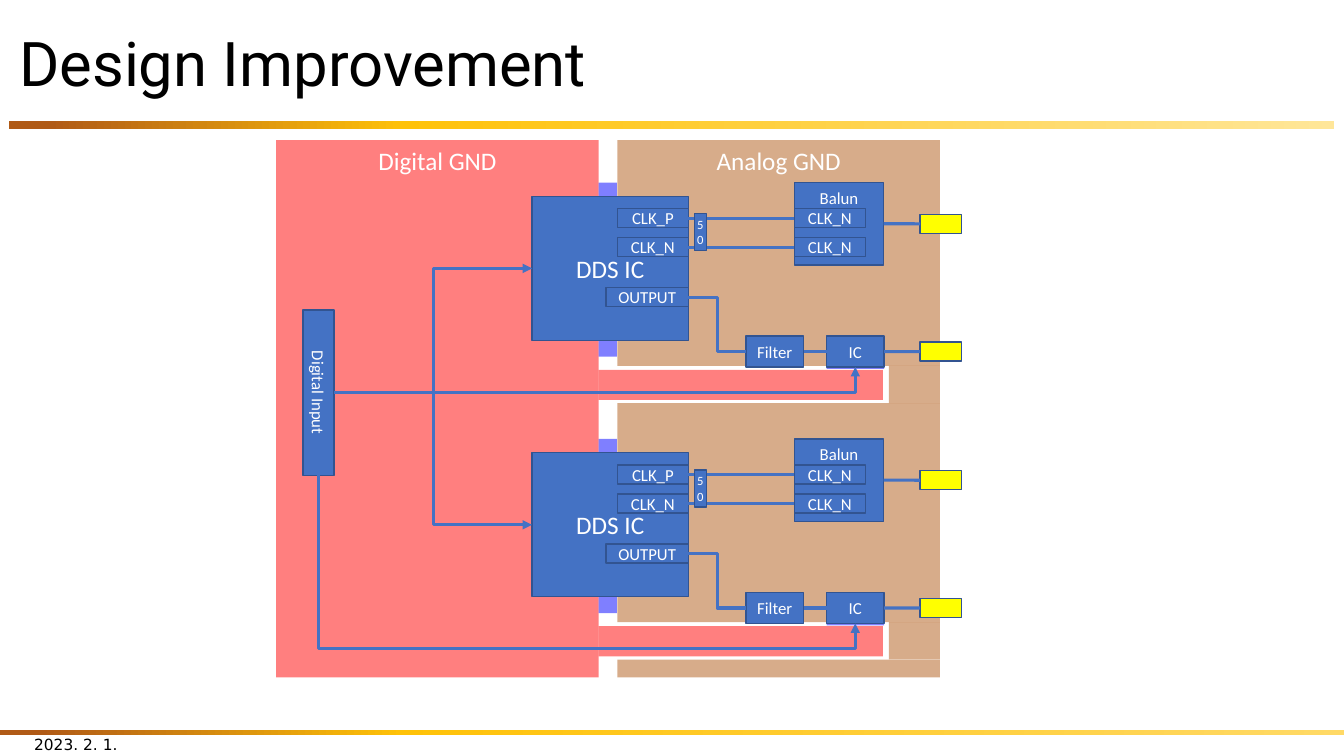
"""Build the design improvement slide with its two mixed-signal channels."""
from copy import deepcopy
from typing import NamedTuple

from lxml.etree import SubElement
from pptx import Presentation
from pptx.dml.color import RGBColor
from pptx.enum.shapes import MSO_CONNECTOR, MSO_SHAPE
from pptx.enum.text import MSO_ANCHOR, PP_ALIGN
from pptx.oxml.ns import qn
from pptx.shapes.autoshape import Shape
from pptx.shapes.connector import Connector
from pptx.slide import Slide
from pptx.text.text import TextFrame
from pptx.util import Cm, Pt

COLORS = {
    "text": "000000", "label": "FFFFFF", "block": "4472C4", "edge": "325491",
    "jack": "FFFF00", "analog": "B05A16", "digital": "FF0000", "bridge": "0000FF",
    "rust": "B05A16", "gold": "FFC208", "cream": "FFE699", "sand": "FFD966",
}
CHANNEL_PITCH = 6.46
BOTTOM, LEFT, RIGHT = 2, 1, 3


class Area(NamedTuple):
    """Ground plane rectangle in centimetres."""
    color: str
    x: float
    y: float
    w: float
    h: float
    label: str = ""
    repeats: bool = False


class Block(NamedTuple):
    """Circuit block of the first channel in centimetres."""
    label: str
    x: float
    y: float
    w: float
    h: float
    size: int = 12
    color: str = "block"
    anchor: MSO_ANCHOR = MSO_ANCHOR.MIDDLE


class Wire(NamedTuple):
    """Straight wire from the right of one block to the left of another."""
    source: str
    target: str


AREAS = [
    Area("analog", 15.56, 3.53, 8.13, 5.69, "Analog GND"),
    Area("analog", 15.56, 10.16, 8.13, 5.52),
    Area("analog", 15.56, 16.62, 8.13, 0.45),
    Area("analog", 22.4, 9.22, 1.29, 0.94, repeats=True),
    Area("digital", 6.96, 3.53, 8.13, 13.54, "Digital GND"),
    Area("digital", 15.09, 9.32, 7.16, 0.76, repeats=True),
    Area("bridge", 15.09, 4.6, 0.46, 4.39, repeats=True),
    Area("bridge", 20.83, 9.17, 1.45, 0.13, repeats=True),
]
BLOCKS = {
    "synthesizer": Block("DDS IC", 13.41, 4.95, 3.94, 3.63, 18),
    "clock_jack": Block("", 23.19, 5.4, 1.05, 0.48, color="jack"),
    "output_jack": Block("", 23.19, 8.62, 1.05, 0.48, color="jack"),
    "balun": Block("Balun", 20.02, 4.6, 2.25, 2.08, anchor=MSO_ANCHOR.TOP),
    "clock_p": Block("CLK_P", 15.56, 5.26, 1.79, 0.48),
    "clock_n": Block("CLK_N", 15.56, 5.99, 1.79, 0.48),
    "output": Block("OUTPUT", 15.27, 7.25, 2.08, 0.48),
    "balun_p": Block("CLK_N", 20.02, 5.26, 1.79, 0.48),
    "balun_n": Block("CLK_N", 20.02, 5.99, 1.79, 0.48),
    "filter": Block("Filter", 18.8, 8.47, 1.45, 0.78),
    "switch": Block("IC", 20.83, 8.47, 1.45, 0.78),
}
TERMINATION = Block("50", 17.5, 5.38, 0.3, 0.94, 9)
DIGITAL_INPUT = Block("Digital Input", 5.94, 9.5, 4.17, 0.79)
WIRES = [
    Wire("clock_p", "balun_p"), Wire("clock_n", "balun_n"), Wire("filter", "switch"),
    Wire("balun", "clock_jack"), Wire("switch", "output_jack"),
]


def rgb(color: str) -> RGBColor:
    """Look up a named colour."""
    return RGBColor.from_string(COLORS[color])


def write(frame: TextFrame, text: str, size: int, font: str, color: str,
          align: PP_ALIGN, anchor: MSO_ANCHOR) -> None:
    """Fill a text frame with one formatted paragraph."""
    frame.word_wrap = True
    frame.vertical_anchor = anchor
    frame.text = text
    paragraph = frame.paragraphs[0]
    paragraph.alignment = align
    paragraph.font.size = Pt(size)
    paragraph.font.name = font
    paragraph.font.color.rgb = rgb(color)


def add_rectangle(slide: Slide, x: float, y: float, w: float, h: float) -> Shape:
    """Add a rectangle without line or shadow."""
    shape = slide.shapes.add_shape(MSO_SHAPE.RECTANGLE, Cm(x), Cm(y), Cm(w), Cm(h))
    shape.shadow.inherit = False
    shape.line.fill.background()
    return shape


def add_rule(slide: Slide, x: float, y: float, w: float, h: float, end: str) -> None:
    """Add a horizontal gradient rule."""
    rule = add_rectangle(slide, x, y, w, h)
    rule.fill.gradient()
    rule.fill.gradient_angle = 0
    stops = rule.element.spPr.find(f".//{qn('a:gsLst')}")
    stops.append(deepcopy(stops[0]))
    colors = (("rust", 0.03), ("gold", 0.3), (end, 1))
    for stop, (color, position) in zip(rule.fill.gradient_stops, colors):
        stop.color.rgb = rgb(color)
        stop.position = position


def add_area(slide: Slide, area: Area, shift: float) -> None:
    """Add a half transparent ground plane."""
    plane = add_rectangle(slide, area.x, area.y + shift, area.w, area.h)
    plane.fill.solid()
    plane.fill.fore_color.rgb = rgb(area.color)
    color = plane.element.spPr.find(f".//{qn('a:srgbClr')}")
    SubElement(color, qn("a:alpha"), val="50000")
    if area.label:
        write(plane.text_frame, area.label, 18, "Calibri", "label",
              PP_ALIGN.CENTER, MSO_ANCHOR.TOP)


def add_block(slide: Slide, block: Block, shift: float = 0) -> Shape:
    """Add an outlined circuit block."""
    shape = add_rectangle(slide, block.x, block.y + shift, block.w, block.h)
    shape.fill.solid()
    shape.fill.fore_color.rgb = rgb(block.color)
    shape.line.color.rgb = rgb("edge")
    shape.line.width = Pt(1)
    if block.label:
        shape.text_frame.margin_left = shape.text_frame.margin_right = 0
        write(shape.text_frame, block.label, block.size, "Calibri", "label",
              PP_ALIGN.CENTER, block.anchor)
    return shape


def add_wire(slide: Slide, kind: MSO_CONNECTOR, x1: float, y1: float,
             x2: float, y2: float, arrow: bool = False) -> Connector:
    """Add a wire, optionally with an arrowhead at its end."""
    wire = slide.shapes.add_connector(kind, Cm(x1), Cm(y1), Cm(x2), Cm(y2))
    wire.line.color.rgb = rgb("block")
    wire.line.width = Pt(2.25)
    if arrow:
        SubElement(wire.line._get_or_add_ln(), qn("a:tailEnd"), type="triangle")
    SubElement(wire.element.spPr, qn("a:effectLst"))
    return wire


def add_channel(slide: Slide, shift: float) -> None:
    """Add the blocks and wires of one channel."""
    shapes = {part: add_block(slide, block, shift) for part, block in BLOCKS.items()}
    for source, target in WIRES:
        wire = add_wire(slide, MSO_CONNECTOR.STRAIGHT, 0, 0, 1, 1)
        wire.begin_connect(shapes[source], RIGHT)
        wire.end_connect(shapes[target], LEFT)
    add_wire(slide, MSO_CONNECTOR.ELBOW, 17.35, 7.49 + shift, 18.8, 8.86 + shift)
    add_block(slide, TERMINATION, shift)


def add_control(slide: Slide) -> None:
    """Add the digital input and its control wires."""
    add_block(slide, DIGITAL_INPUT).rotation = 90
    center_x = DIGITAL_INPUT.x + DIGITAL_INPUT.w / 2
    center_y = DIGITAL_INPUT.y + DIGITAL_INPUT.h / 2
    right = center_x + DIGITAL_INPUT.h / 2
    bottom = center_y + DIGITAL_INPUT.w / 2
    synthesizer, switch = BLOCKS["synthesizer"], BLOCKS["switch"]
    for shift in (0, CHANNEL_PITCH):
        add_wire(slide, MSO_CONNECTOR.ELBOW, right, center_y, synthesizer.x,
                 synthesizer.y + synthesizer.h / 2 + shift, arrow=True)

    switch_x, switch_y = switch.x + switch.w / 2, switch.y + switch.h
    upper = add_wire(slide, MSO_CONNECTOR.ELBOW, right, center_y,
                     switch_x, switch_y, arrow=True)
    upper.element.spPr.find(qn("a:prstGeom")).set("prst", "bentConnector2")

    width, height = switch_x - center_x, switch_y + CHANNEL_PITCH - bottom
    middle_x, middle_y = center_x + width / 2, bottom + height / 2
    lower = add_wire(slide, MSO_CONNECTOR.ELBOW, middle_x + height / 2, middle_y - width / 2,
                     middle_x - height / 2, middle_y + width / 2, arrow=True)
    lower.element.spPr.find(qn("a:xfrm")).set("rot", "16200000")
    guides = lower.element.spPr.find(f".//{qn('a:avLst')}")
    SubElement(guides, qn("a:gd"), name="adj1", fmla="val 117000")


def main() -> None:
    """Build and save the slide."""
    deck = Presentation()
    deck.slide_width, deck.slide_height = Cm(33.87), Cm(19.05)
    slide = deck.slides.add_slide(deck.slide_layouts[5])
    add_rule(slide, 0.23, 3.05, 33.4, 0.2, "cream")
    add_rule(slide, 0, 18.39, 33.87, 0.13, "sand")

    title = slide.shapes.title
    title.left, title.top, title.width, title.height = Cm(0.23), Cm(0.43), Cm(33.4), Cm(2.49)
    write(title.text_frame, "Design Improvement", 44, "Roboto", "text",
          PP_ALIGN.LEFT, MSO_ANCHOR.MIDDLE)
    title.text_frame.paragraphs[0].line_spacing = 0.9
    date = slide.shapes.add_textbox(Cm(0.61), Cm(18.26), Cm(7.62), Cm(1.02))
    write(date.text_frame, "2023. 2. 1.", 11, "DejaVu Sans", "text",
          PP_ALIGN.LEFT, MSO_ANCHOR.MIDDLE)

    for area in AREAS:
        for shift in (0, CHANNEL_PITCH) if area.repeats else (0,):
            add_area(slide, area, shift)
    for shift in (0, CHANNEL_PITCH):
        add_channel(slide, shift)
    add_control(slide)
    deck.save("out.pptx")


if __name__ == "__main__":
    main()
